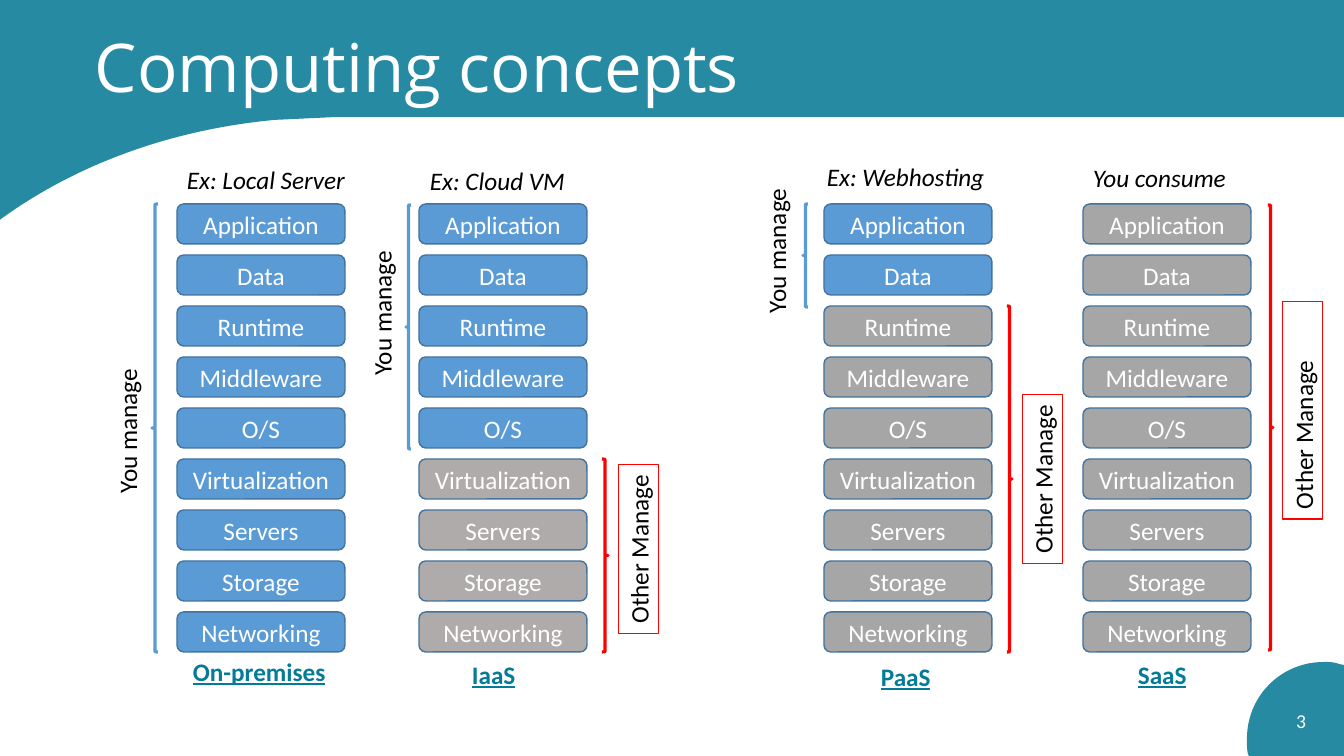
from dataclasses import dataclass

from pptx import Presentation
from pptx import util as u
from pptx.dml.color import RGBColor
from pptx.enum import shapes, text

PX = 914400 / 100.8
KIND = shapes.MSO_SHAPE
LEFT, MID, RIGHT = text.PP_ALIGN.LEFT, text.PP_ALIGN.CENTER, text.PP_ALIGN.RIGHT


@dataclass(frozen=True)
class Theme:
    teal: str = "258AA2"
    blue: str = "5B9BD5"
    edge: str = "43739E"
    warm: str = "AFABAB"
    gray: str = "A6A6A6"
    red: str = "FF0000"
    link: str = "047B97"
    ink: str = "000000"
    white: str = "FFFFFF"
    head: str = "Open Sans"
    body: str = "Calibri"
    big: int = 48
    base: int = 18
    small: int = 14


def emu(n):
    return u.Emu(round(n * PX))


def assign(item, values):
    for name, value in values.items():
        setattr(item, name, value)


def curve(a, b, c, d, steps=24):
    """Points on a cubic Bezier, without its first point."""
    points = []
    for n in range(1, steps + 1):
        t = n / steps
        s = 1 - t
        mix = (s ** 3, 3 * s * s * t, 3 * s * t * t, t ** 3)
        points.append(tuple(sum(m * p[k] for m, p in zip(mix, (a, b, c, d)))
                            for k in (0, 1)))
    return points


class Canvas:
    def __init__(self, slide, theme):
        self.slide, self.theme = slide, theme

    def paint(self, shape, fill=None, line=None, width=1):
        shape.shadow.inherit = False
        for part, color in ((shape.fill, fill), (shape.line.fill, line)):
            if color:
                part.solid()
                part.fore_color.rgb = RGBColor.from_string(color)
            else:
                part.background()
        if line:
            shape.line.width = u.Pt(width)

    def letter(self, shape, words, color, align=LEFT, middle=False, font=None):
        frame = shape.text_frame
        anchor = text.MSO_ANCHOR.MIDDLE if middle else text.MSO_ANCHOR.TOP
        assign(frame, {"word_wrap": True, "vertical_anchor": anchor})
        para = frame.paragraphs[0]
        para.alignment = align
        run = para.add_run()
        run.text = words
        run.font.color.rgb = RGBColor.from_string(color)
        look = {"name": self.theme.body, "size": u.Pt(self.theme.base)}
        assign(run.font, look | (font or {}))
        return para

    def shape(self, kind, box, **paint):
        item = self.slide.shapes.add_shape(kind, *map(emu, box))
        self.paint(item, **paint)
        return item

    def label(self, words, box, color, turn=0, **style):
        item = self.slide.shapes.add_textbox(*map(emu, box))
        item.rotation = turn
        return self.letter(item, words, color, **style)

    def outline(self, points, fill):
        spots = [(emu(x), emu(y)) for x, y in points]
        form = self.slide.shapes.build_freeform(*spots[0], scale=1.0)
        form.add_line_segments(spots[1:], close=True)
        self.paint(form.convert_to_shape(), fill=fill)

    def layer(self, words, box, fill):
        item = self.shape(KIND.ROUNDED_RECTANGLE, box, fill=fill,
                          line=self.theme.edge)
        self.letter(item, words, self.theme.white, align=MID, middle=True)

    def brace(self, kind, box, color):
        self.shape(kind, box, line=color, width=2.25)

    def frame(self, words, box):
        """Upright label in a thin red frame."""
        item = self.shape(KIND.RECTANGLE, box, line=self.theme.red, width=0.75)
        item.rotation = 270
        self.letter(item, words, self.theme.ink)


LAYERS = ("Application", "Data", "Runtime", "Middleware", "O/S",
          "Virtualization", "Servers", "Storage", "Networking")
TOP, STEP, WIDE, HIGH = 204, 51, 168, 40


def backdrop(art, theme):
    art.outline([(1344, 756), (1249, 756), (1248, 754)]
                + curve((1248, 754), (1247, 749), (1247, 744), (1247, 739))
                + curve((1247, 739), (1247, 696), (1281, 662), (1324, 662))
                + curve((1324, 662), (1329, 662), (1334, 662), (1339, 664))
                + [(1344, 665)], theme.teal)
    art.shape(KIND.RECTANGLE, (337, 0, 1007, 117), fill=theme.teal)
    art.outline([(0, 0), (337, 0), (337, 117), (274, 120)]
                + curve((274, 120), (168, 130), (74, 166), (1, 219))
                + [(0, 220)], theme.teal)
    art.label("3", (1014, 701, 302, 40), theme.white, align=RIGHT, middle=True,
              font={"size": u.Pt(theme.small)})
    title = art.label("Computing concepts", (85, 23, 1159, 96), theme.white,
                      middle=True,
                      font={"name": theme.head, "size": u.Pt(theme.big)})
    title.line_spacing = 0.9


def main():
    theme = Theme()
    deck = Presentation()
    assign(deck, {"slide_width": emu(1344), "slide_height": emu(756)})
    art = Canvas(deck.slides.add_slide(deck.slide_layouts[6]), theme)
    backdrop(art, theme)

    # left, layers you manage, fill of the others, example box, model box
    stacks = (
        (177, 9, theme.gray, "Ex: Local Server", (177, 159, 182),
         "On-premises", (183, 651, 157)),
        (419, 5, theme.warm, "Ex: Cloud VM", (420, 160, 182),
         "IaaS", (462, 654, 157)),
        (824, 2, theme.gray, "Ex: Webhosting", (817, 156, 182),
         "PaaS", (871, 656, 80)),
        (1083, 0, theme.gray, "You consume", (1083, 157, 168),
         "SaaS", (1128, 654, 80)),
    )
    for left, own, other, example, over, model, under in stacks:
        for row, name in enumerate(LAYERS):
            art.layer(name, (left, TOP + row * STEP, WIDE, HIGH),
                      theme.blue if row < own else other)
        art.label(example, (*over, HIGH), theme.ink, font={"italic": True})
        art.label(model, (*under, HIGH), theme.link,
                  font={"bold": True, "underline": True})

    yours = (((152, 204, 6, 448), (48, 404, 158, HIGH)),
             ((406, 205, 5, 244), (302, 286, 159, HIGH)),
             ((803, 204, 5, 103), (697, 224, 158, HIGH)))
    for brace, box in yours:
        art.brace(KIND.LEFT_BRACE, brace, theme.blue)
        art.label("You manage", box, theme.ink, turn=270)

    others = (((602, 459, 6, 193), (554, 529, 169, HIGH)),
              ((1007, 306, 5, 346), (958, 459, 169, HIGH)),
              ((1268, 205, 5, 445), (1194, 390, 218, HIGH)))
    for brace, box in others:
        art.brace(KIND.RIGHT_BRACE, brace, theme.red)
        art.frame("Other Manage", box)

    deck.save("out.pptx")


if __name__ == "__main__":
    main()
